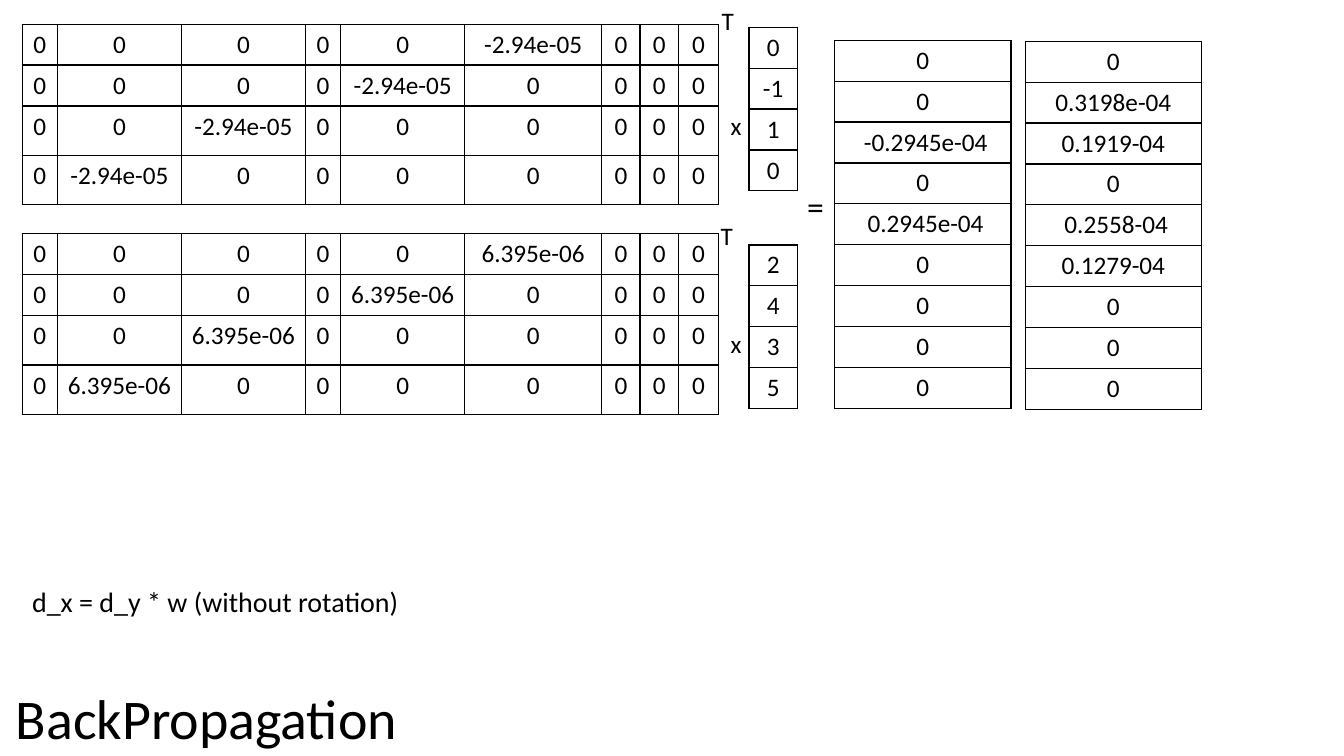
from lxml import etree
from pptx import Presentation
from pptx import util as u
from pptx.dml.color import RGBColor
from pptx.enum import text
from pptx.oxml.ns import qn

COLORS = {"ink": "000000"}
UNIT = u.Inches(0.1)  # side of one square of the layout grid
WIDTH, HEIGHT = 133.33, 75
ROW = 4


def write(frame, words, size=18, align=None):
    paragraph = frame.paragraphs[0]
    paragraph.alignment = align
    run = paragraph.add_run()
    run.text = words
    run.font.size = u.Pt(size)
    run.font.name = "Calibri"
    run.font.color.rgb = RGBColor.from_string(COLORS["ink"])


def add_matrix(left, top, columns, rows, values):
    """Add an unfilled, fully ruled table; lengths are in grid units."""
    box = [int(n * UNIT) for n in (left, top, sum(columns), sum(rows))]
    table = slide.shapes.add_table(len(rows), len(columns), *box).table
    table.first_row = table.horz_banding = False
    for column, width in zip(table.columns, columns):
        column.width = int(width * UNIT)
    for row, height, entries in zip(table.rows, rows, values):
        row.height = int(height * UNIT)
        for cell, entry in zip(row.cells, entries):
            write(cell.text_frame, entry, align=text.PP_ALIGN.CENTER)
            cell.fill.background()
            properties = cell._tc.get_or_add_tcPr()
            for place, side in enumerate(("a:lnL", "a:lnR", "a:lnT", "a:lnB")):
                border = etree.Element(qn(side), w=str(u.Pt(1)))
                fill = etree.SubElement(border, qn("a:solidFill"))
                etree.SubElement(fill, qn("a:srgbClr"), val=COLORS["ink"])
                properties.insert(place, border)


deck = Presentation()
deck.slide_width = int(WIDTH * UNIT)
deck.slide_height = int(HEIGHT * UNIT)
slide = deck.slides.add_slide(deck.slide_layouts[6])

# Each weight sits on a diagonal that climbs to the right, in these columns
weight_columns = [5, 4, 2, 1]
matrix_columns = [3.5, 12.3, 12.3, 3.5, 12.3, 13.6, 3.8, 3.8, 4]
matrix_rows = [ROW, ROW, 4.9, 4.9]
products = [
    # weight, matrix top, gradient, gradient top
    ("-2.94e-05", 2.4, ["0", "-1", "1", "0"], 2.7),
    ("6.395e-06", 23.2, ["2", "4", "3", "5"], 24.3),
]
for weight, matrix_top, gradient, gradient_top in products:
    weights = [
        [weight if column == hit else "0" for column in range(len(matrix_columns))]
        for hit in weight_columns
    ]
    add_matrix(2.2, matrix_top, matrix_columns, matrix_rows, weights)
    add_matrix(74.3, gradient_top, [4.8], [4.06] * 4, [[g] for g in gradient])

results = [
    (82.8, 4, ["0", "0", " -0.2945e-04", "0", " 0.2945e-04", "0", "0", "0", "0"]),
    (101.7, 4.1, ["0", "0.3198e-04", "0.1919-04", "0", " 0.2558-04", "0.1279-04",
                  "0", "0", "0"]),
]
for left, top, result in results:
    add_matrix(left, top, [17.5], [ROW] * len(result), [[r] for r in result])

labels = [
    ("d_x = d_y * w (without rotation)", 20, 2.2, 57.5, 38.7, 4.4),
    ("BackPropagation", 40, 0.6, 67.3, 40.3, 7.7),
    ("x", 18, 71.5, 10.5, 3.1, 4),
    ("x", 18, 71.5, 32.1, 3.1, 4),
    ("T", 18, 70.6, 0, 3.2, 4),
    ("T", 18, 70.5, 21.4, 3.2, 4),
    ("=", 24, 79.1, 18, 3.7, 5),
]
for words, size, *box in labels:
    label = slide.shapes.add_textbox(*[int(n * UNIT) for n in box]).text_frame
    label.word_wrap = False
    label.auto_size = text.MSO_AUTO_SIZE.SHAPE_TO_FIT_TEXT
    write(label, words, size=size)

deck.save("out.pptx")
